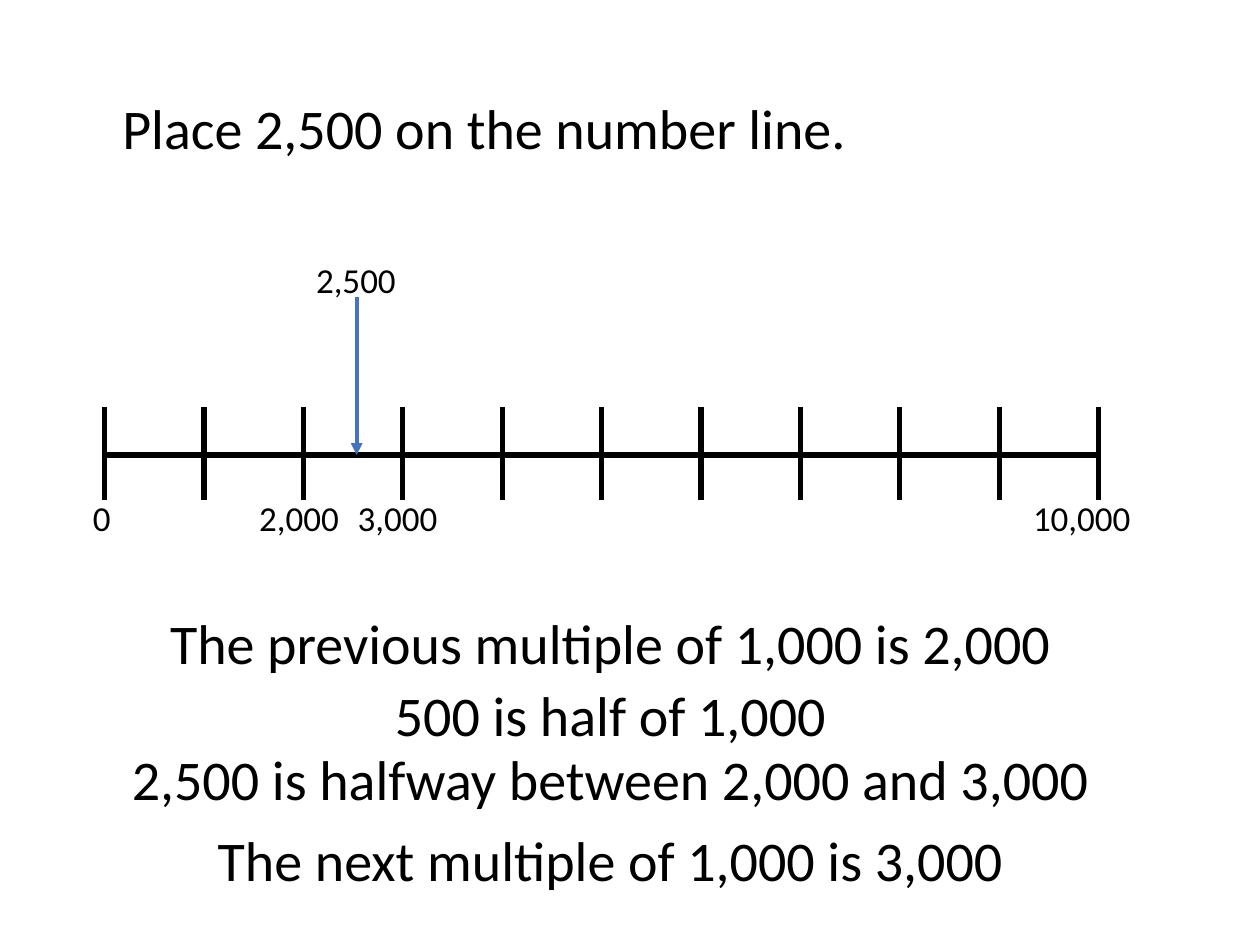
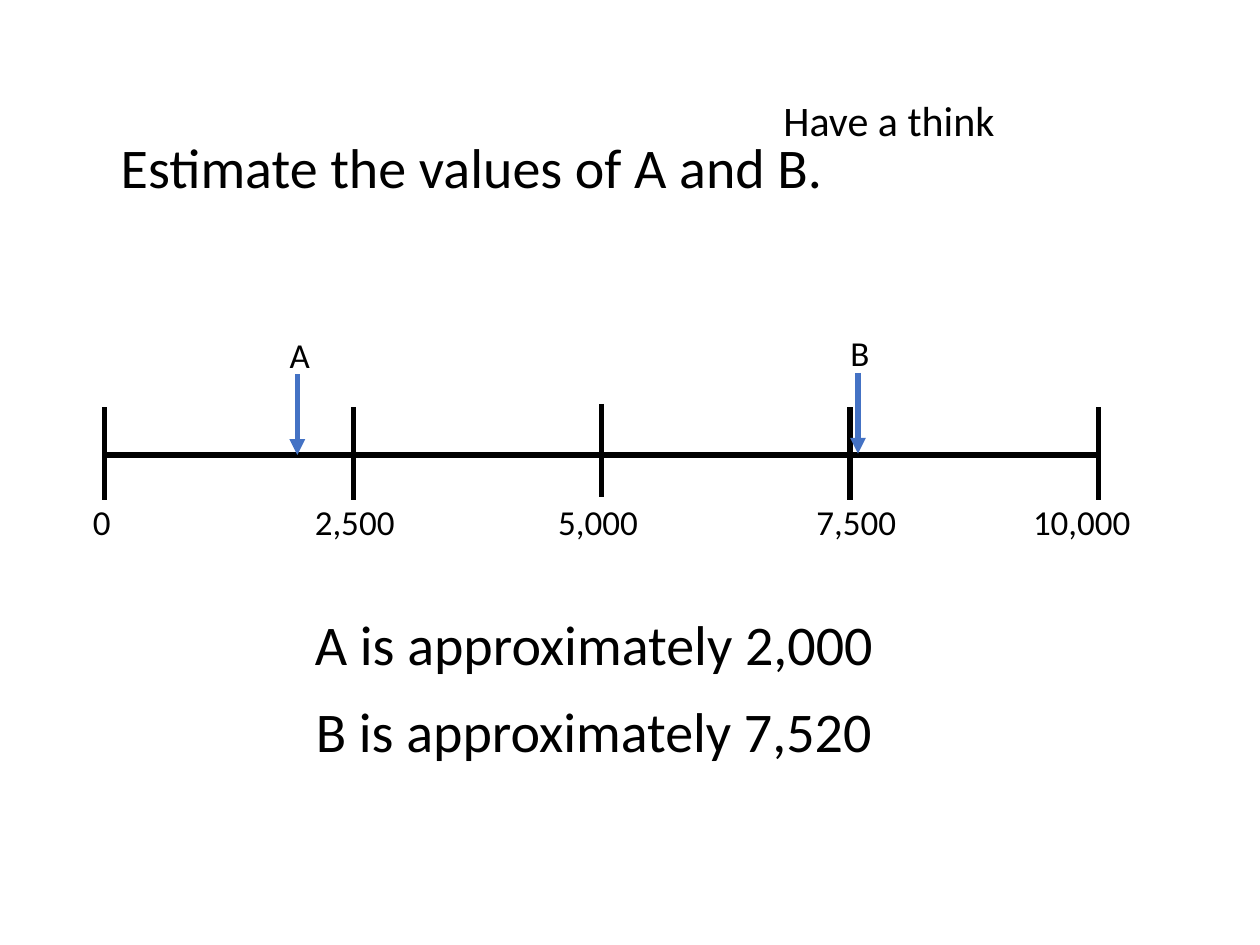
"""Build two slides that place and estimate numbers on a line from 0 to 10,000."""
from lxml import etree
from pptx import Presentation
from pptx.dml.color import RGBColor
from pptx.enum.shapes import MSO_CONNECTOR as Connector
from pptx.enum.text import MSO_AUTO_SIZE as AutoSize, PP_ALIGN as Align
from pptx.oxml.ns import qn
from pptx.util import Pt

BLACK, BLUE = "000000", "4472C4"
FONT = "Calibri"
LINE_LEFT, LINE_RIGHT, LINE_Y = 59.8, 627.8, 260
TICK_TOP, TICK_BOTTOM = 232.6, 285.8
LABEL_SIZE, NOTE_SIZE, SENTENCE_SIZE = 20, 24, 32
BOX_HEIGHTS = {LABEL_SIZE: 31.5, NOTE_SIZE: 36, SENTENCE_SIZE: 46}


def add_line(slide, start, end, color=BLACK, weight=3, arrow=False):
    line = slide.shapes.add_connector(Connector.STRAIGHT, *map(Pt, start + end))
    line.line.color.rgb = RGBColor.from_string(color)
    line.line.width = Pt(weight)
    if arrow:
        outline = line.line._get_or_add_ln()
        etree.SubElement(outline, qn("a:tailEnd"), type="triangle")
    etree.SubElement(line._element.spPr, qn("a:effectLst"))


def add_text(slide, text, left, top, width, size, align=Align.LEFT):
    box = slide.shapes.add_textbox(Pt(left), Pt(top), Pt(width), Pt(BOX_HEIGHTS[size]))
    frame = box.text_frame
    frame.word_wrap = True
    frame.auto_size = AutoSize.SHAPE_TO_FIT_TEXT
    paragraph = frame.paragraphs[0]
    paragraph.alignment = align
    run = paragraph.add_run()
    run.text = text
    run.font.name = FONT
    run.font.size = Pt(size)
    run.font.color.rgb = RGBColor.from_string(BLACK)


number_lines = [
    {
        "intervals": 10,
        "raised_ticks": {},
        "label_top": 280,
        "labels": [("0", 46), ("2,000", 141), ("3,000", 197.3), ("10,000", 583.2)],
        "arrow_weight": 2.25,
        "arrows": [("2,500", 173.5, 144, 203.8, 170, LINE_Y)],
        "notes": [],
        "sentences": [
            ("Place 2,500 on the number line.", 31.7, 49.7, 490.3),
            ("The previous multiple of 1,000 is 2,000", 70.6, 344.2, 556.6),
            ("500 is half of 1,000", 103.7, 385.2, 490.3),
            ("2,500 is halfway between 2,000 and 3,000", 67.7, 421.9, 562.3),
            ("The next multiple of 1,000 is 3,000", 95.8, 468, 506.2),
        ],
    },
    {
        "intervals": 4,
        "raised_ticks": {2: 1.8},
        "label_top": 282.2,
        "labels": [("0", 46), ("2,500", 172.8), ("5,000", 311.8), ("7,500", 459.4), ("10,000", 583.2)],
        "arrow_weight": 3,
        "arrows": [
            ("A", 158.4, 187.2, 169.9, 213.8, LINE_Y),
            ("B", 478.8, 185.8, 490.3, 213.1, 259.2),
        ],
        "notes": [("Have a think", 440.6, 50.4, 144)],
        "sentences": [
            ("Estimate the values of A and B.", 24.5, 72, 490.3),
            ("A is approximately 2,000", 94.3, 344.9, 490.3),
            ("B is approximately 7,520", 94.3, 394.6, 490.3),
        ],
    },
]

presentation = Presentation()
presentation.slide_width, presentation.slide_height = Pt(720), Pt(540)

for number_line in number_lines:
    slide = presentation.slides.add_slide(presentation.slide_layouts[6])

    add_line(slide, (LINE_LEFT, LINE_Y), (LINE_RIGHT, LINE_Y))
    step = (LINE_RIGHT - LINE_LEFT) / number_line["intervals"]
    for index in range(number_line["intervals"] + 1):
        x = LINE_LEFT + index * step
        rise = number_line["raised_ticks"].get(index, 0)
        add_line(slide, (x, TICK_TOP - rise), (x, TICK_BOTTOM - rise))

    for text, left in number_line["labels"]:
        add_text(slide, text, left, number_line["label_top"], 70.6, LABEL_SIZE)

    for text, left, top, x, arrow_top, arrow_tip in number_line["arrows"]:
        add_line(slide, (x, arrow_top), (x, arrow_tip), BLUE, number_line["arrow_weight"], arrow=True)
        add_text(slide, text, left, top, 70.6, LABEL_SIZE)

    for note in number_line["notes"]:
        add_text(slide, *note, NOTE_SIZE)
    for sentence in number_line["sentences"]:
        add_text(slide, *sentence, SENTENCE_SIZE, Align.CENTER)

presentation.save("out.pptx")
